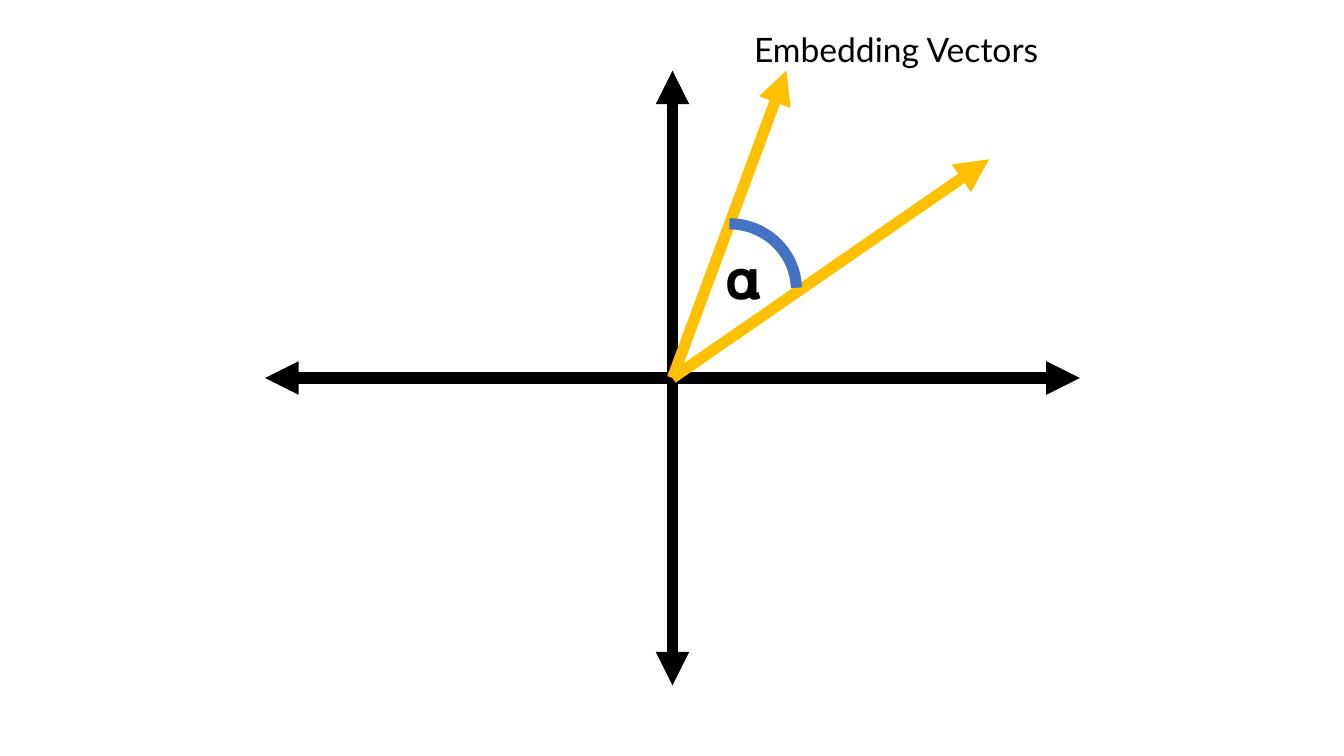
from dataclasses import dataclass

from lxml.etree import SubElement
from pptx import Presentation
from pptx.dml.color import RGBColor
from pptx.enum.shapes import MSO_CONNECTOR, MSO_SHAPE
from pptx.enum.text import MSO_AUTO_SIZE
from pptx.oxml.ns import qn
from pptx.util import Inches, Pt


@dataclass(frozen=True)
class Theme:
    axis: RGBColor = RGBColor(0x00, 0x00, 0x00)
    vector: RGBColor = RGBColor(0xFF, 0xC0, 0x00)
    angle: RGBColor = RGBColor(0x44, 0x72, 0xC4)
    text: RGBColor = RGBColor(0x00, 0x00, 0x00)
    font: str = "Lato"
    label: int = 24
    symbol: int = 40
    stroke: int = 8


THEME = Theme()


def add_arrow(slide, start, end, color, ends=("tailEnd",)):
    points = [Inches(v) for v in (*start, *end)]
    arrow = slide.shapes.add_connector(MSO_CONNECTOR.STRAIGHT, *points)
    arrow.line.color.rgb = color
    arrow.line.width = Pt(THEME.stroke)
    props = arrow._element.spPr
    for end_name in ends:
        SubElement(props.find(qn("a:ln")), qn("a:" + end_name), type="triangle")
    SubElement(props, qn("a:effectLst"))


def add_label(slide, box, text, size):
    frame = slide.shapes.add_textbox(*[Inches(v) for v in box]).text_frame
    frame.word_wrap = False
    frame.auto_size = MSO_AUTO_SIZE.SHAPE_TO_FIT_TEXT
    run = frame.paragraphs[0].add_run()
    run.text = text
    run.font.name = THEME.font
    run.font.size = Pt(size)
    run.font.color.rgb = THEME.text


def draw_axes(slide, box):
    left, top, width, height = box
    mid_x, mid_y = left + width / 2, top + height / 2
    both = ("headEnd", "tailEnd")
    add_arrow(slide, (mid_x, top), (mid_x, top + height), THEME.axis, both)
    add_arrow(slide, (left + width, mid_y), (left, mid_y), THEME.axis, both)


def draw_vectors(slide, box):
    left, top, width, height = box
    origin = (left + width / 2, top + height / 2)
    for right, up in ((1.13, 3.05), (3.14, 2.17)):
        tip = (origin[0] + right, origin[1] - up)
        add_arrow(slide, origin, tip, THEME.vector)
    add_label(slide, (origin[0] + 0.71, top - 0.46, 3.09, 0.5),
              "Embedding Vectors", THEME.label)


def draw_angle(slide, box):
    left, top, width, height = box
    x, y = left + width / 2, top + height / 2
    arc = slide.shapes.add_shape(MSO_SHAPE.ARC, Inches(x - 0.1), Inches(y - 1.53),
                                 Inches(1.33), Inches(1.31))
    # Start and end angles, in units of 100000 / 60000 degrees
    arc.adjustments[0] = 162
    arc.adjustments[1] = 214.94
    arc.shadow.inherit = False
    arc.fill.background()
    arc.line.color.rgb = THEME.angle
    arc.line.width = Pt(THEME.stroke)
    add_label(slide, (x + 0.43, y - 1.38, 0.56, 0.77), "𝛂", THEME.symbol)


def main():
    deck = Presentation()
    deck.slide_width, deck.slide_height = Inches(13.33), Inches(7.5)
    slide = deck.slides.add_slide(deck.slide_layouts[6])
    plane = (2.63, 0.7, 8.08, 6.1)
    draw_axes(slide, plane)
    draw_vectors(slide, plane)
    draw_angle(slide, plane)
    deck.save("out.pptx")


if __name__ == "__main__":
    main()
